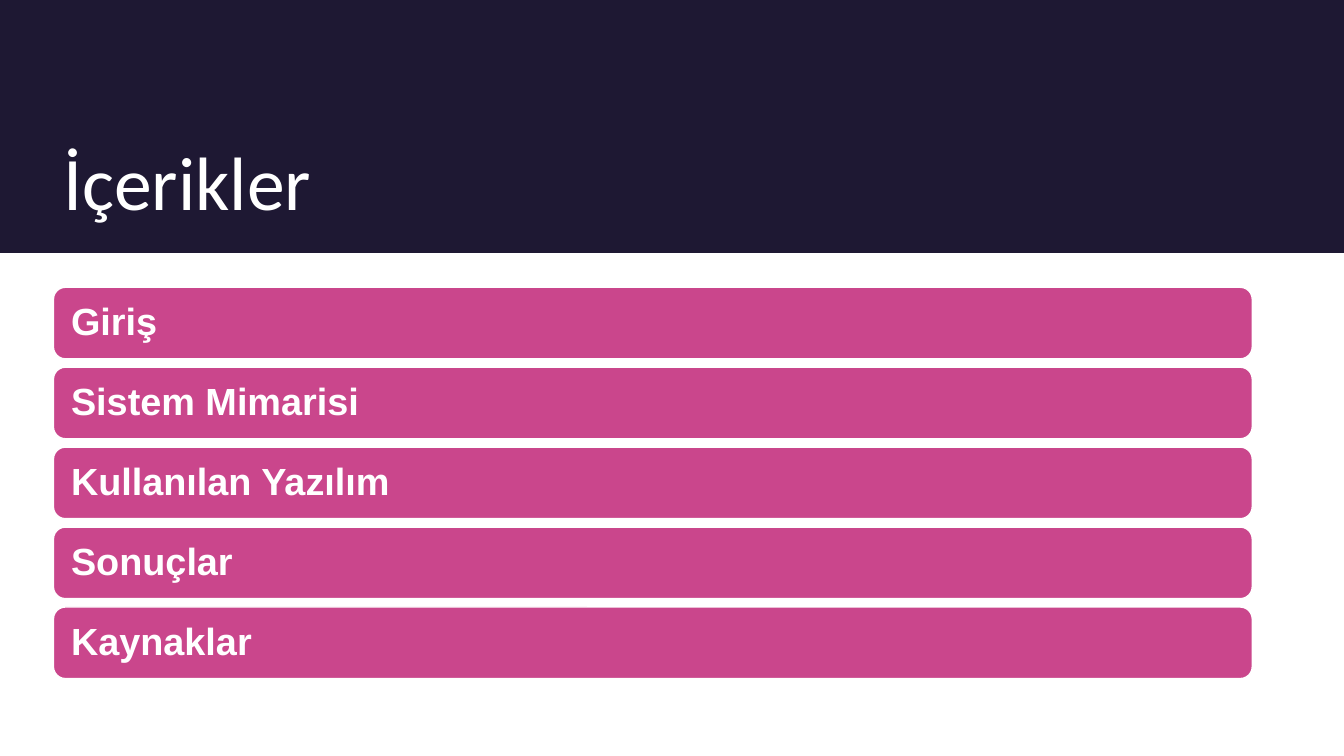
from pptx import Presentation
from pptx import util as u
from pptx.dml.color import RGBColor
from pptx.enum import shapes, text

COLORS = {"banner": "1E1833", "bar": "CA468C", "white": "FFFFFF"}
TOPICS = ["Giriş", "Sistem Mimarisi", "Kullanılan Yazılım", "Sonuçlar", "Kaynaklar"]

LEFT, WIDTH = 0.53, 11.89
BAR_TOP, BAR_HEIGHT, BAR_PITCH = 2.85, 0.71, 0.793


def add_block(kind, left, top, width, height, fill):
    block = page.shapes.add_shape(kind, *map(u.Inches, (left, top, width, height)))
    block.shadow.inherit = False
    block.fill.solid()
    block.fill.fore_color.rgb = RGBColor.from_string(COLORS[fill])
    block.line.fill.background()
    return block


def write(box, words, frame_format, font_format):
    frame = box.text_frame
    frame.word_wrap = True
    for name, value in frame_format.items():
        setattr(frame, name, value)
    para = frame.paragraphs[0]
    para.alignment = text.PP_ALIGN.LEFT
    para.line_spacing = 0.9
    span = para.add_run()
    span.text = words
    for name, value in font_format.items():
        setattr(span.font, name, value)
    span.font.color.rgb = RGBColor.from_string(COLORS["white"])


deck = Presentation()
deck.slide_width, deck.slide_height = u.Inches(13.33), u.Inches(7.5)
page = deck.slides.add_slide(deck.slide_layouts[6])

add_block(shapes.MSO_SHAPE.RECTANGLE, 0, 0, 13.33, 2.51, "banner")
title = page.shapes.add_textbox(*map(u.Inches, (LEFT, 0.4, WIDTH, 1.85)))
write(title, "İçerikler",
      {"vertical_anchor": text.MSO_ANCHOR.BOTTOM, "margin_bottom": 0},
      {"name": "Calibri", "size": u.Pt(54)})

bar_frame = {"vertical_anchor": text.MSO_ANCHOR.MIDDLE, "margin_left": u.Inches(0.14)}
bar_font = {"name": "Arial", "size": u.Pt(27), "bold": True}
for row, topic in enumerate(TOPICS):
    bar = add_block(shapes.MSO_SHAPE.ROUNDED_RECTANGLE,
                    LEFT, BAR_TOP + row * BAR_PITCH, WIDTH, BAR_HEIGHT, "bar")
    bar.line.color.rgb = RGBColor.from_string(COLORS["white"])
    bar.line.width = u.Pt(1)
    write(bar, topic, bar_frame, bar_font)

deck.save("out.pptx")
